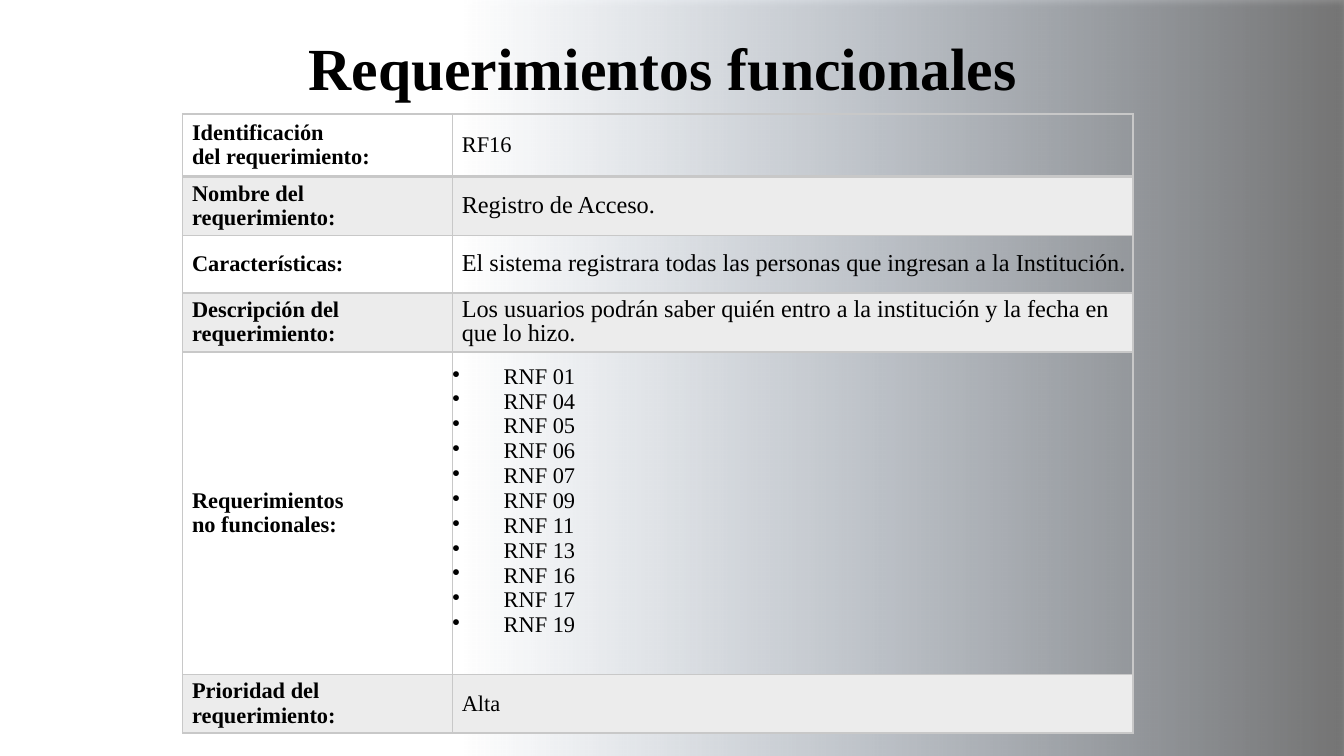
from pptx import Presentation
from pptx.dml.color import RGBColor
from pptx.enum.shapes import MSO_SHAPE as Shape
from pptx.enum.text import MSO_ANCHOR as Anchor, PP_ALIGN as Align
from pptx.oxml import parse_xml
from pptx.oxml.ns import nsdecls, qn
from pptx.util import Cm, Pt

FONT = "Times New Roman"
COLORS = {"text": "000000", "band": "ECECEC", "border": "C8C8C8",
          "shade": "000000", "fade": "1F497D"}
COLUMN_WIDTHS = (5.1, 12.86)
INDENT = 0.18
BULLET_INDENT = 0.97

# Label lines, value lines, value size in points, row height in cm
ROWS = [
    (["Identificación", "del requerimiento:"], ["RF16"], 12, 1.19),
    (["Nombre del requerimiento:"], ["Registro de Acceso."], 13, 1.11),
    (["Características:"],
     ["El sistema registrara todas las personas que ingresan a la Institución."],
     13, 1.09),
    (["Descripción del", "requerimiento:"],
     ["Los usuarios podrán saber quién entro a la institución y la fecha en que lo hizo."],
     13, 1.11),
    (["Requerimientos", "no funcionales:"],
     [f"RNF {number}" for number in
      ("01", "04", "05", "06", "07", "09", "11", "13", "16", "17", "19")],
     12, 6.1),
    (["Prioridad del requerimiento:"], ["Alta"], 12, 1.11),
]


def add_span(para, text, size, bold=False):
    span = para.add_run()
    span.text = text
    span.font.name, span.font.size, span.font.bold = FONT, Pt(size), bold
    span.font.color.rgb = RGBColor.from_string(COLORS["text"])


def add_backdrop(page, left, top, width, height):
    """Add the turned panel that fades from the right edge, behind all else."""
    panel = page.shapes.add_shape(Shape.RECTANGLE, Cm(left), Cm(top), Cm(width), Cm(height))
    panel.rotation = 270
    properties = panel.element.spPr
    properties.find(qn("a:prstGeom")).addnext(parse_xml(
        f'<a:gradFill {nsdecls("a")} rotWithShape="1"><a:gsLst>'
        f'<a:gs pos="0"><a:srgbClr val="{COLORS["shade"]}"><a:alpha val="46000"/></a:srgbClr></a:gs>'
        f'<a:gs pos="100000"><a:srgbClr val="{COLORS["fade"]}"><a:alpha val="0"/></a:srgbClr></a:gs>'
        '</a:gsLst><a:lin ang="16200000" scaled="0"/></a:gradFill>'))
    panel.line.fill.background()
    panel.shadow.inherit = False
    properties.find(qn("a:effectLst")).append(parse_xml(
        f'<a:outerShdw {nsdecls("a")} blurRad="{Pt(3.1)}" dist="{Pt(1.8)}" dir="5400000" '
        f'rotWithShape="0"><a:srgbClr val="{COLORS["shade"]}"><a:alpha val="35000"/>'
        '</a:srgbClr></a:outerShdw>'))
    page.shapes.title.element.addprevious(panel.element)


def add_title(page, left, top, width, height):
    title = page.shapes.title
    title.left, title.top, title.width, title.height = map(Cm, (left, top, width, height))
    frame = title.text_frame
    frame.word_wrap = True
    frame.vertical_anchor = Anchor.TOP
    frame.margin_right = Cm(0.59)
    para = frame.paragraphs[0]
    para.alignment = Align.CENTER
    add_span(para, "Requerimientos funcionales", 32, bold=True)


def set_borders(cell, top, bottom):
    """Draw the four cell edges; top and bottom are widths in points."""
    edges = (("lnL", 1), ("lnR", 1), ("lnT", top), ("lnB", bottom))
    for place, (edge, width) in enumerate(edges):
        cell._tc.get_or_add_tcPr().insert(place, parse_xml(
            f'<a:{edge} {nsdecls("a")} w="{Pt(width)}"><a:solidFill>'
            f'<a:srgbClr val="{COLORS["border"]}"/></a:solidFill></a:{edge}>'))


def set_indent(para, bulleted):
    settings = para._p.get_or_add_pPr()
    settings.set("marL", str(Cm(BULLET_INDENT if bulleted else INDENT)))
    settings.set("indent", str(-Cm(BULLET_INDENT) if bulleted else 0))
    if bulleted:
        settings.append(parse_xml(f'<a:buChar {nsdecls("a")} char="•"/>'))


def fill_cell(cell, lines, size, bold, banded):
    cell.vertical_anchor = Anchor.MIDDLE
    cell.margin_left = cell.margin_right = cell.margin_top = cell.margin_bottom = 0
    if banded:
        cell.fill.solid()
        cell.fill.fore_color.rgb = RGBColor.from_string(COLORS["band"])
    else:
        cell.fill.background()
    bulleted = len(lines) > 2
    if bulleted:
        cell.margin_bottom = Cm(0.46)
    for index, line in enumerate(lines):
        frame = cell.text_frame
        para = frame.add_paragraph() if index else frame.paragraphs[0]
        if not bulleted:
            para.line_spacing = Pt(13)
        set_indent(para, bulleted)
        add_span(para, line, size, bold)


def add_requirement_table(page, left, top, width, height):
    table = page.shapes.add_table(len(ROWS), len(COLUMN_WIDTHS), Cm(left), Cm(top),
                                  Cm(width), Cm(height)).table
    table.first_row = table.horz_banding = False
    for column, column_width in zip(table.columns, COLUMN_WIDTHS):
        column.width = Cm(column_width)
    for index, (label, value, size, row_height) in enumerate(ROWS):
        table.rows[index].height = Cm(row_height)
        banded = index % 2 == 1
        fill_cell(table.cell(index, 0), label, 12, True, banded)
        fill_cell(table.cell(index, 1), value, size, False, banded)
        for cell in table.rows[index].cells:
            set_borders(cell, top=1.5 if index == 1 else 1, bottom=1.5 if index == 0 else 1)


def main():
    deck = Presentation()
    deck.slide_width, deck.slide_height = Cm(25.4), Cm(14.29)
    page = deck.slides.add_slide(deck.slide_layouts[5])
    add_backdrop(page, 9.68, -0.99, 14.73, 16.71)
    add_title(page, 1.45, 0.46, 22.5, 1.63)
    add_requirement_table(page, 3.45, 2.15, sum(COLUMN_WIDTHS), sum(row[-1] for row in ROWS))
    deck.save("out.pptx")


if __name__ == "__main__":
    main()
